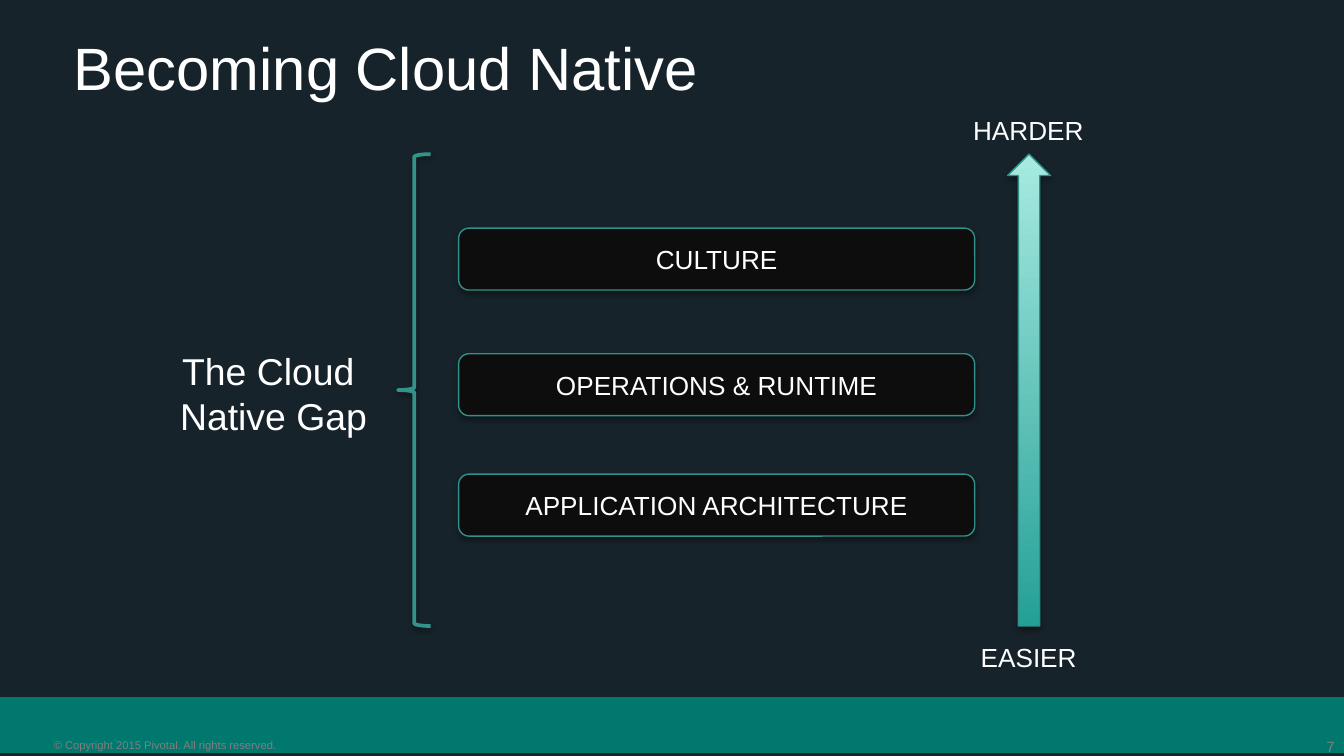
"""Build the "Becoming Cloud Native" slide."""
from lxml import etree
from pptx import Presentation
from pptx.dml.color import RGBColor
from pptx.enum.shapes import MSO_SHAPE
from pptx.enum.text import MSO_ANCHOR, MSO_AUTO_SIZE, PP_ALIGN
from pptx.oxml.ns import qn
from pptx.util import Pt

RECT, ROUND = MSO_SHAPE.RECTANGLE, MSO_SHAPE.ROUNDED_RECTANGLE
BRACE, ARROW = MSO_SHAPE.LEFT_BRACE, MSO_SHAPE.UP_ARROW
TOP, MIDDLE = MSO_ANCHOR.TOP, MSO_ANCHOR.MIDDLE
GROW, FIXED = MSO_AUTO_SIZE.SHAPE_TO_FIT_TEXT, MSO_AUTO_SIZE.NONE
LEFT, CENTER, RIGHT = PP_ALIGN.LEFT, PP_ALIGN.CENTER, PP_ALIGN.RIGHT
HEX = {"back": "17232A", "band": "00786E", "gray": "7F7F7F", "white": "FFFFFF",
       "box": "0D0D0D", "edge": "309189", "brace": "33928A",
       "deep": "25A096", "pale": "A7EAE1", "black": "000000"}
COLOR = {name: RGBColor.from_string(code) for name, code in HEX.items()}


def write(shape, lines, size, color="white", align=LEFT, anchor=TOP, inset=None, wrap=True, fit=FIXED):
    frame = shape.text_frame
    frame.word_wrap, frame.auto_size, frame.vertical_anchor = wrap, fit, anchor
    if inset is not None:
        frame.margin_left = frame.margin_right = Pt(inset)
        frame.margin_top = frame.margin_bottom = Pt(inset)
    for i, line in enumerate(lines):
        para = frame.add_paragraph() if i else frame.paragraphs[0]
        para.alignment = align
        run = para.add_run()
        run.text = line
        run.font.name, run.font.size = "Arial", Pt(size)
        run.font.color.rgb = COLOR[color]


def draw(kind, spot, edge, width, dist, alpha):
    shape = slide.shapes.add_shape(kind, *map(Pt, spot))
    shape.line.color.rgb, shape.line.width = COLOR[edge], Pt(width)
    shape.shadow.inherit = False
    glow = etree.SubElement(shape._element.spPr.find(qn("a:effectLst")), qn("a:outerShdw"),
                            blurRad=str(Pt(3.1)), dist=str(Pt(dist)), dir="5400000", rotWithShape="0")
    tint = etree.SubElement(glow, qn("a:srgbClr"), val=HEX["black"])
    etree.SubElement(tint, qn("a:alpha"), val=str(alpha * 1000))
    return shape


deck = Presentation()
deck.slide_width, deck.slide_height = Pt(720), Pt(405)
slide = deck.slides.add_slide(deck.slide_layouts[5])
slide.background.fill.solid()
slide.background.fill.fore_color.rgb = COLOR["back"]

band = slide.shapes.add_shape(RECT, Pt(0), Pt(373.5), Pt(720), Pt(30))
band.fill.solid()
band.fill.fore_color.rgb = COLOR["band"]
band.line.fill.background()
band.shadow.inherit = False

title = slide.shapes.title
title.left, title.top, title.width, title.height = Pt(38), Pt(14.5), Pt(642), Pt(42)
write(title, ["Becoming Cloud Native"], 32, anchor=MIDDLE, inset=1.5)

for text, size, align, spot in [
    ("7", 8, RIGHT, (673, 395.3, 42, 10)),
    ("© Copyright 2015 Pivotal. All rights reserved.", 6, LEFT, (28.8, 395.3, 179, 7)),
]:
    foot = slide.shapes.add_textbox(*map(Pt, spot))
    write(foot, [text], size, "gray", align, inset=0)

for text, top in [("CULTURE", 122.2), ("OPERATIONS & RUNTIME", 189.5), ("APPLICATION ARCHITECTURE", 254)]:
    box = draw(ROUND, (245.7, top, 276.5, 33.2), "edge", 0.75, 1.8, 35)
    box.fill.solid()
    box.fill.fore_color.rgb = COLOR["box"]
    write(box, [text], 14, align=CENTER, anchor=MIDDLE)

brace = draw(BRACE, (213.2, 82.6, 17.5, 252.8), "brace", 2, 1.6, 38)
brace.fill.background()

arrow = draw(ARROW, (539.8, 82.6, 23, 252.8), "edge", 0.75, 1.8, 35)
arrow.fill.gradient()
arrow.fill.gradient_angle = 90
for stop, name, place in zip(arrow.fill.gradient_stops, ("deep", "pale"), (0, 1)):
    stop.color.rgb, stop.position = COLOR[name], place

for lines, size, align, spot in [
    (["The Cloud ", "Native Gap "], 20, CENTER, (88.6, 183, 116, 55.7)),
    (["EASIER"], 14, LEFT, (518.3, 340, 66, 24.2)),
    (["HARDER"], 14, LEFT, (514.2, 57.8, 74, 24.2)),
]:
    label = slide.shapes.add_textbox(*map(Pt, spot))
    write(label, lines, size, align=align, wrap=False, fit=GROW)

deck.save("out.pptx")
